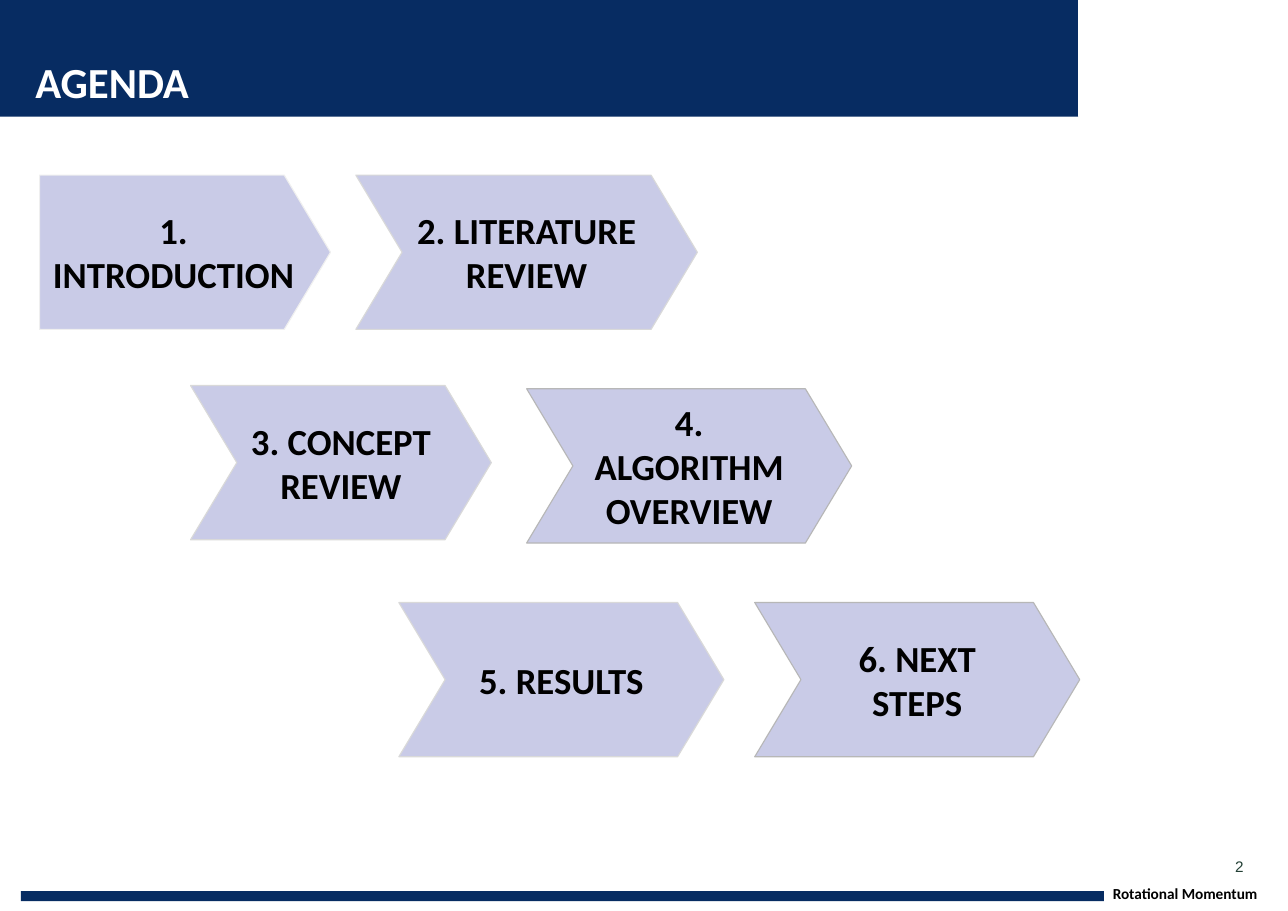
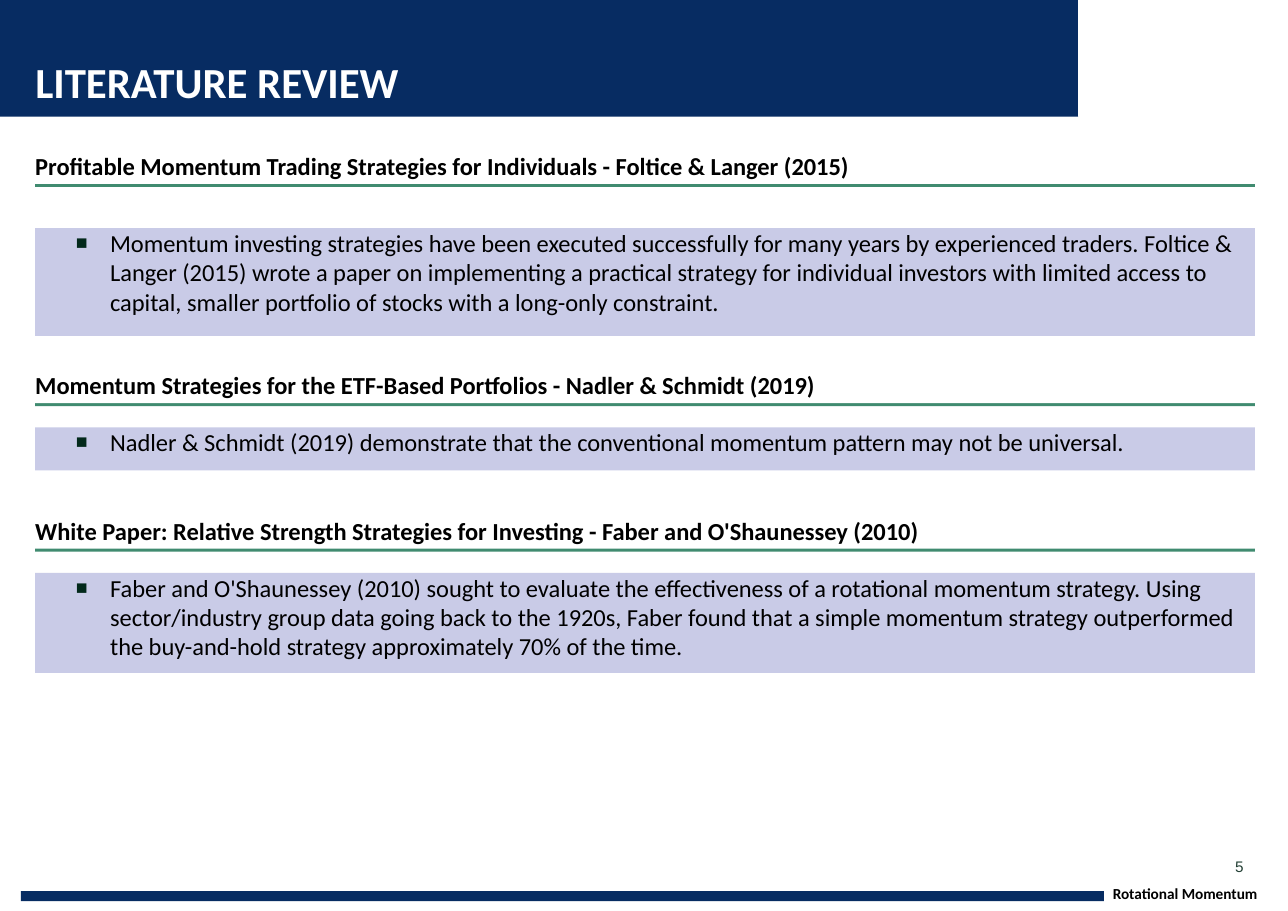
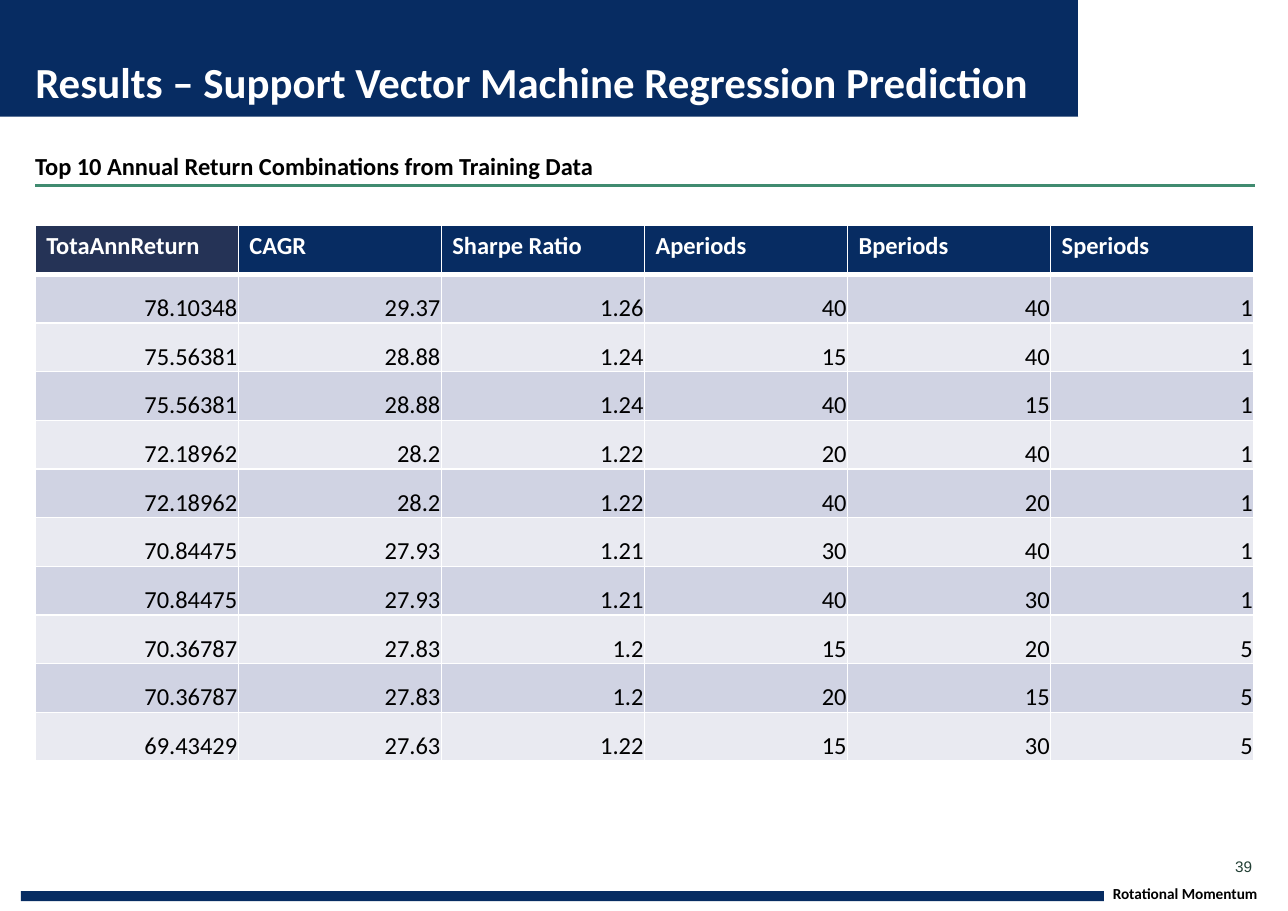
"""Build three slides of the rotational momentum presentation."""
import pptx
import pptx.util
import pptx.dml.color
import pptx.enum.shapes
import pptx.enum.text
import pptx.oxml.ns
from lxml import etree

Inches, Pt = pptx.util.Inches, pptx.util.Pt
SHAPE = pptx.enum.shapes.MSO_SHAPE
ANCHOR = pptx.enum.text.MSO_ANCHOR
ALIGN = pptx.enum.text.PP_ALIGN

COLORS = {
    "navy": "072C62", "first_header": "253356", "white": "FFFFFF", "black": "000000",
    "lavender": "C9CBE7", "green": "408B70", "bullet": "02291B", "page": "234035",
    "band_dark": "D0D3E3", "band_light": "E9EAF1",
    "edge_pale": "EFEFEF", "edge_light": "D9D9D9", "edge_gray": "B7B7B7",
}
LEFT, CONTENT_WIDTH = 0.32, 11.07
HEADING_TOP, HEADING_HEIGHT = 1.36, 0.31
STEP_HEIGHT = 1.4
FOOTER = "Rotational Momentum"

AGENDA = [
    ("1. INTRODUCTION", SHAPE.PENTAGON, 0.36, 1.59, 2.64, "edge_pale"),
    ("2. LITERATURE REVIEW", SHAPE.CHEVRON, 3.23, 1.59, 3.1, "edge_light"),
    ("3. CONCEPT REVIEW", SHAPE.CHEVRON, 1.73, 3.5, 2.73, "edge_light"),
    ("4. ALGORITHM OVERVIEW", SHAPE.CHEVRON, 4.78, 3.53, 2.95, "edge_gray"),
    ("5. RESULTS", SHAPE.CHEVRON, 3.62, 5.47, 2.95, "edge_light"),
    ("6. NEXT STEPS", SHAPE.CHEVRON, 6.85, 5.47, 2.95, "edge_gray"),
]
PAPERS = [
    ("Profitable Momentum Trading Strategies for Individuals - Foltice & Langer (2015)", HEADING_TOP,
     "Momentum investing strategies have been executed successfully for many years by experienced "
     "traders. Foltice & Langer (2015) wrote a paper on implementing a practical strategy for "
     "individual investors with limited access to capital, smaller portfolio of stocks with a "
     "long-only constraint.", 2.07, 0.98),
    ("Momentum Strategies for the ETF-Based Portfolios - Nadler & Schmidt (2019)", 3.35,
     "Nadler & Schmidt (2019) demonstrate that the conventional momentum pattern may not be "
     "universal.", 3.88, 0.39),
    ("White Paper: Relative Strength Strategies for Investing - Faber and O'Shaunessey (2010)", 4.67,
     "Faber and O'Shaunessey (2010) sought to evaluate the effectiveness of a rotational momentum "
     "strategy. Using sector/industry group data going back to the 1920s, Faber found that a simple "
     "momentum strategy outperformed the buy-and-hold strategy approximately 70% of the time.",
     5.2, 0.91),
]
RESULTS = [
    ("TotaAnnReturn", "CAGR", "Sharpe Ratio", "Aperiods", "Bperiods", "Speriods"),
    ("78.10348", "29.37", "1.26", "40", "40", "1"),
    ("75.56381", "28.88", "1.24", "15", "40", "1"),
    ("75.56381", "28.88", "1.24", "40", "15", "1"),
    ("72.18962", "28.2", "1.22", "20", "40", "1"),
    ("72.18962", "28.2", "1.22", "40", "20", "1"),
    ("70.84475", "27.93", "1.21", "30", "40", "1"),
    ("70.84475", "27.93", "1.21", "40", "30", "1"),
    ("70.36787", "27.83", "1.2", "15", "20", "5"),
    ("70.36787", "27.83", "1.2", "20", "15", "5"),
    ("69.43429", "27.63", "1.22", "15", "30", "5"),
]


def rgb(name):
    return pptx.dml.color.RGBColor.from_string(COLORS[name])


def add_element(parent, tag, **attributes):
    return etree.SubElement(parent, pptx.oxml.ns.qn(tag), attributes)


def set_margins(target, margins):
    (target.margin_left, target.margin_top,
     target.margin_right, target.margin_bottom) = [Inches(margin) for margin in margins]


def write(text_frame, text, size, color="black", bold=True, align=ALIGN.LEFT, font="Calibri"):
    text_frame.text = text
    paragraph = text_frame.paragraphs[0]
    paragraph.alignment = align
    for run in paragraph.runs:
        run.font.name, run.font.size, run.font.bold = font, Pt(size), bold
        run.font.color.rgb = rgb(color)
    return paragraph


def set_layout(text_frame, anchor, margins=(0, 0, 0, 0), wrap=True):
    text_frame.vertical_anchor = anchor
    text_frame.word_wrap = wrap
    set_margins(text_frame, margins)


def add_box(slide, box, fill, kind=SHAPE.RECTANGLE, line=None, line_width=0.75):
    shape = slide.shapes.add_shape(kind, *[Inches(length) for length in box])
    shape.shadow.inherit = False
    shape.fill.solid()
    shape.fill.fore_color.rgb = rgb(fill)
    if line:
        shape.line.color.rgb = rgb(line)
        shape.line.width = Pt(line_width)
    else:
        shape.line.fill.background()
    return shape


def add_label(slide, box, text, size, anchor=ANCHOR.BOTTOM, wrap=True, **style):
    shape = slide.shapes.add_textbox(*[Inches(length) for length in box])
    set_layout(shape.text_frame, anchor, wrap=wrap)
    write(shape.text_frame, text, size, **style)


def add_page(presentation, title, number):
    slide = presentation.slides.add_slide(presentation.slide_layouts[6])
    add_box(slide, (0, 0, 11.69, 1.06), "navy")
    add_box(slide, (9.8, 0, 1.89, 1.06), "white", line="white", line_width=2)
    add_box(slide, (0.19, 8.09, 9.83, 0.09), "navy")
    add_label(slide, (10.1, 8.02, 1.5, 0.17), FOOTER, 10)
    add_label(slide, (LEFT, 0.5, 9.49, 0.47), title, 28, color="white")
    add_label(slide, (11.21, 7.78, 0.17, 0.17), number, 10, ANCHOR.MIDDLE, wrap=False,
              color="page", bold=False, font="Arial")
    return slide


def add_heading(slide, text, top):
    shape = add_box(slide, (LEFT, top, CONTENT_WIDTH, HEADING_HEIGHT), "white")
    effects = shape._element.spPr.find(pptx.oxml.ns.qn("a:effectLst"))
    shadow = add_element(effects, "a:outerShdw", dist=str(Pt(2)), dir="5400000",
                         algn="t", rotWithShape="0")
    add_element(shadow, "a:srgbClr", val=COLORS["green"])
    set_layout(shape.text_frame, ANCHOR.BOTTOM, (0, 0, 0, 0.03))
    write(shape.text_frame, text, 16).line_spacing = 1.1


def add_summary(slide, text, top, height):
    shape = add_box(slide, (LEFT, top, CONTENT_WIDTH, height), "lavender")
    set_layout(shape.text_frame, ANCHOR.TOP, (0.12, 0, 0.12, 0))
    paragraph = write(shape.text_frame, text, 16, bold=False)
    properties = paragraph._p.get_or_add_pPr()
    properties.set("marL", str(Inches(0.56)))
    properties.set("indent", str(Inches(-0.31)))
    add_element(add_element(properties, "a:buClr"), "a:srgbClr", val=COLORS["bullet"])
    add_element(properties, "a:buSzPct", val="80000")
    add_element(properties, "a:buFont", typeface="Arial")
    add_element(properties, "a:buChar", char="■")


def set_borders(cell, widths):
    properties = cell._tc.get_or_add_tcPr()
    for side, width in zip("LRTB", widths):
        line = add_element(properties, "a:ln" + side, w=str(Pt(width)))
        add_element(add_element(line, "a:solidFill"), "a:srgbClr", val=COLORS["white"])


def add_results(slide):
    row_count, column_count = len(RESULTS), len(RESULTS[0])
    table = slide.shapes.add_table(row_count, column_count, Inches(LEFT), Inches(2.05),
                                   Inches(11.06), Inches(4.86)).table
    table.horz_banding = False
    for row_index, values in enumerate(RESULTS):
        header = row_index == 0
        for column_index, value in enumerate(values):
            cell = table.cell(row_index, column_index)
            set_borders(cell, (1, 1, 3 if row_index == 1 else 1, 3 if header else 1))
            if header:
                fill = "navy" if column_index else "first_header"
                write(cell.text_frame, value, 16, "white")
            else:
                fill = "band_dark" if row_index % 2 else "band_light"
                write(cell.text_frame, value, 16, bold=False, align=ALIGN.RIGHT)
                cell.vertical_anchor = ANCHOR.BOTTOM
                set_margins(cell, (0.01, 0.01, 0.01, 0))
            cell.fill.solid()
            cell.fill.fore_color.rgb = rgb(fill)


def main():
    presentation = pptx.Presentation()
    presentation.slide_width, presentation.slide_height = Inches(11.69), Inches(8.27)

    agenda = add_page(presentation, "AGENDA", "2")
    for text, kind, left, top, width, edge in AGENDA:
        step = add_box(agenda, (left, top, width, STEP_HEIGHT), "lavender", kind, edge)
        step.adjustments[0] = 0.3
        set_layout(step.text_frame, ANCHOR.MIDDLE, (0.1, 0.1, 0.1, 0.1))
        write(step.text_frame, text, 24, align=ALIGN.CENTER)

    review = add_page(presentation, "LITERATURE REVIEW", "5")
    for heading, heading_top, summary, summary_top, summary_height in PAPERS:
        add_heading(review, heading, heading_top)
        add_summary(review, summary, summary_top, summary_height)

    results = add_page(presentation, "Results – Support Vector Machine Regression Prediction", "39")
    add_results(results)
    add_heading(results, "Top 10 Annual Return Combinations from Training Data", HEADING_TOP)

    presentation.save("out.pptx")


if __name__ == "__main__":
    main()
